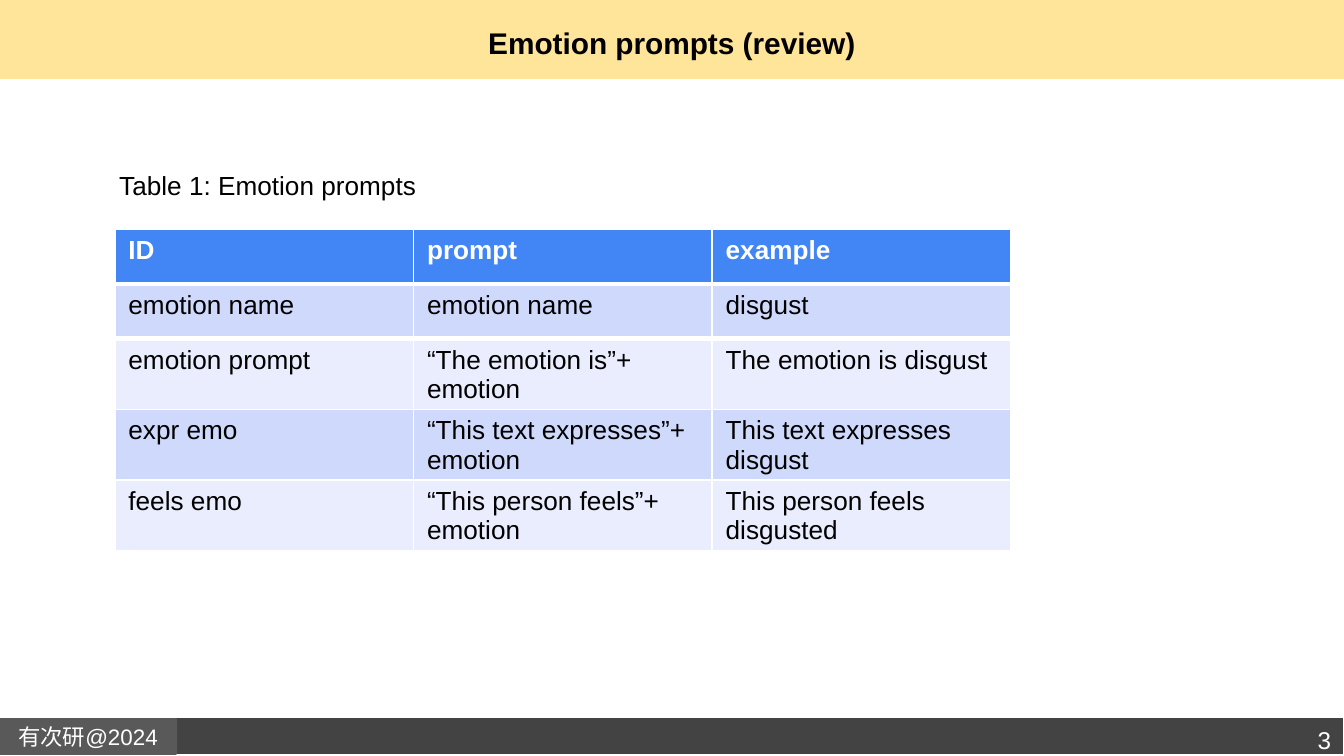
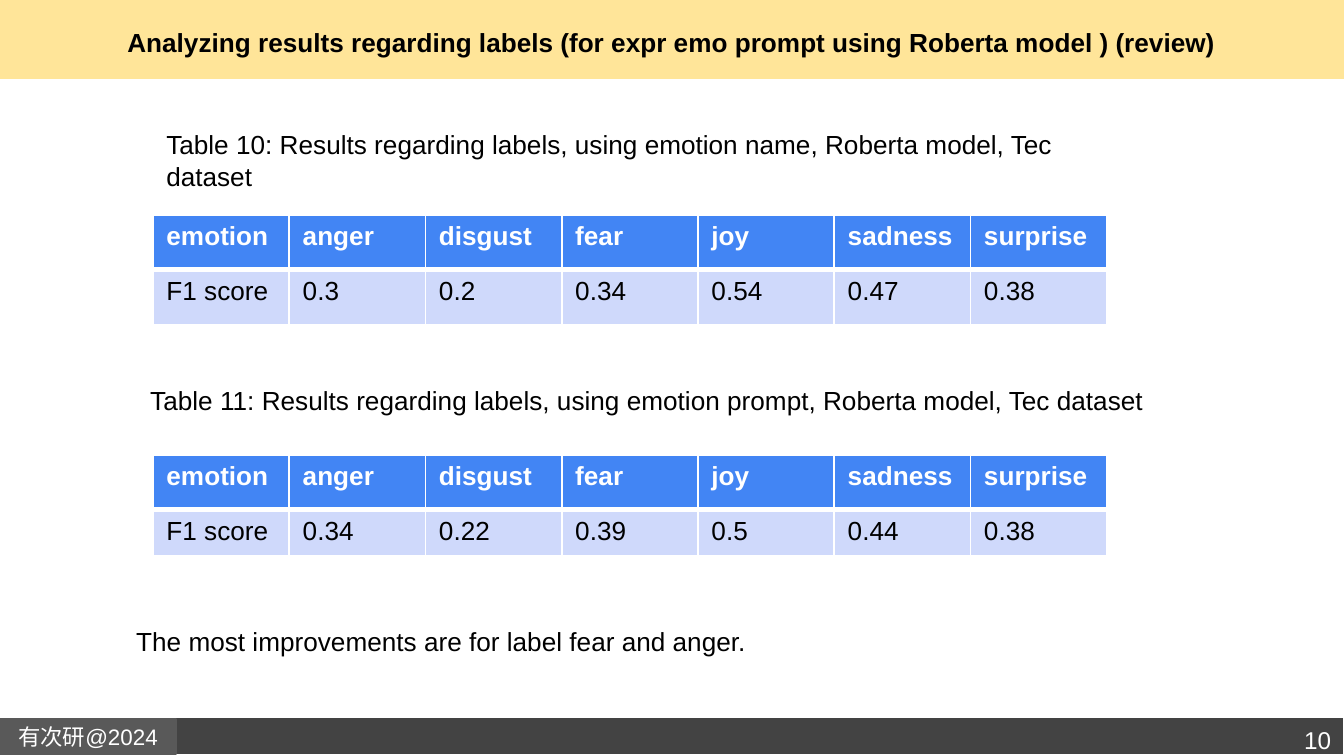
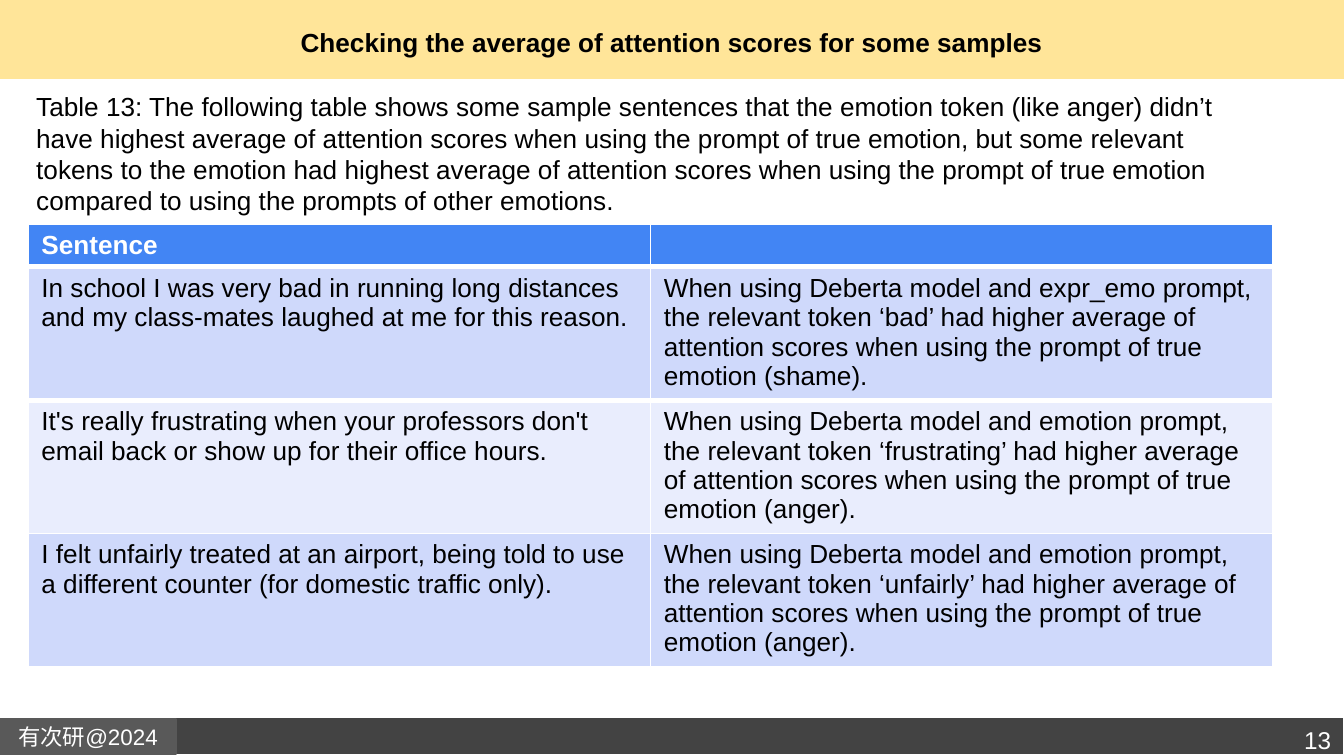
from lxml.etree import SubElement
from pptx import Presentation
from pptx.dml.color import RGBColor
from pptx.enum.shapes import MSO_SHAPE
from pptx.enum.text import MSO_ANCHOR, MSO_AUTO_SIZE, PP_ALIGN
from pptx.oxml.ns import qn
from pptx.util import Emu, Pt

BLACK = RGBColor(0x00, 0x00, 0x00)
WHITE = RGBColor(0xFF, 0xFF, 0xFF)
YELLOW = RGBColor(0xFF, 0xE5, 0x99)
DARK_GRAY = RGBColor(0x43, 0x43, 0x43)
GRAY = RGBColor(0x59, 0x59, 0x59)
HEADER_BLUE = RGBColor(0x42, 0x85, 0xF4)
ROW_TINTS = (RGBColor(0xCF, 0xD9, 0xFB), RGBColor(0xE9, 0xED, 0xFD))

FONT = "Arial"
PX_PER_INCH = 134.4
INSET = 13
BODY = {"name": FONT, "size": Pt(14), "bold": False}
BOLD = {**BODY, "bold": True}
LABEL = {**BODY, "size": Pt(12)}
NUMBER = {**BODY, "size": Pt(13)}

EMOTIONS = ["emotion", "anger", "disgust", "fear", "joy", "sadness", "surprise"]
PROMPTS = [
    ["ID", "prompt", "example"],
    ["emotion name", "emotion name", "disgust"],
    ["emotion prompt", "“The emotion is”+ emotion", "The emotion is disgust"],
    ["expr emo", "“This text expresses”+ emotion", "This text expresses disgust"],
    ["feels emo", "“This person feels”+ emotion", "This person feels disgusted"],
]
NAME_SCORES = [EMOTIONS, ["F1 score", "0.3", "0.2", "0.34", "0.54", "0.47", "0.38"]]
PROMPT_SCORES = [EMOTIONS, ["F1 score", "0.34", "0.22", "0.39", "0.5", "0.44", "0.38"]]
SAMPLES = [
    ["Sentence", ""],
    ["In school I was very bad in running long distances and my class-mates "
     "laughed at me for this reason.",
     "When using Deberta model and expr_emo prompt, the relevant token ‘bad’ had "
     "higher average of attention scores when using the prompt of true emotion (shame)."],
    ["It's really frustrating when your professors don't email back or show up "
     "for their office hours.",
     "When using Deberta model and emotion prompt, the relevant token ‘frustrating’ had "
     "higher average of attention scores when using the prompt of true emotion (anger)."],
    ["I felt unfairly treated at an airport, being told to use a different counter "
     "(for domestic traffic only).",
     "When using Deberta model and emotion prompt, the relevant token ‘unfairly’ had "
     "higher average of attention scores when using the prompt of true emotion (anger)."],
]
SAMPLES_CAPTION = (
    "Table 13: The following table shows some sample sentences that the emotion token "
    "(like anger) didn’t have highest average of attention scores when using the prompt "
    "of true emotion, but some relevant tokens to the emotion had highest average of "
    "attention scores when using the prompt of true emotion compared to using the "
    "prompts of other emotions."
)


def px(n):
    """Turn px into EMU."""
    return Emu(round(n * 914400 / PX_PER_INCH))


def set_all(target, values):
    """Set each attribute named in values on the target."""
    for name, value in values.items():
        setattr(target, name, value)


def write(tf, text, fmt, color, align=PP_ALIGN.LEFT):
    """Write one formatted paragraph into a text frame."""
    p = tf.paragraphs[0]
    p.alignment = align
    r = p.add_run()
    r.text = text
    set_all(r.font, fmt)
    r.font.color.rgb = color


def pad(tf, n=INSET):
    """Give a text frame equal insets on all sides."""
    sides = ("margin_left", "margin_right", "margin_top", "margin_bottom")
    set_all(tf, dict.fromkeys(sides, px(n)))


def add_band(s, box, fill, line=None):
    """Add a flat rectangle."""
    sp = s.shapes.add_shape(MSO_SHAPE.RECTANGLE, *map(px, box))
    sp.shadow.inherit = False
    sp.fill.solid()
    sp.fill.fore_color.rgb = fill
    if line is None:
        sp.line.fill.background()
    else:
        sp.line.color.rgb = line
        sp.line.width = Pt(0.75)
    return sp


def make_layout(prs):
    """Put the shared bands and footer label on the title layout."""
    layout = prs.slide_layouts[5]
    s = prs.slides.add_slide(layout)
    bands = [
        add_band(s, (0, 0, 1344, 79), YELLOW),
        add_band(s, (0, 717, 1344, 38), DARK_GRAY, WHITE),
        add_band(s, (0, 719, 176, 35), GRAY, GRAY),
    ]
    tf = bands[-1].text_frame
    pad(tf)
    set_all(tf, {"vertical_anchor": MSO_ANCHOR.MIDDLE, "word_wrap": True})
    write(tf, "有次研@2024", LABEL, WHITE, PP_ALIGN.CENTER)
    for sp in bands:
        layout.shapes.element.append(sp.element)
    return layout, s


def fill_frame(s, title, number, size=14):
    """Write the title and the slide number."""
    sp = s.shapes.title
    set_all(sp, {"left": px(46), "top": 0, "width": px(1252), "height": px(85)})
    tf = sp.text_frame
    pad(tf)
    set_all(tf, {"vertical_anchor": MSO_ANCHOR.MIDDLE, "word_wrap": True,
                 "auto_size": MSO_AUTO_SIZE.NONE})
    write(tf, title, {**BOLD, "size": Pt(size)}, BLACK, PP_ALIGN.CENTER)
    tf = s.shapes.add_textbox(*map(px, (1203, 712, 141, 50))).text_frame
    pad(tf)
    tf.word_wrap = True
    write(tf, str(number), NUMBER, WHITE, PP_ALIGN.RIGHT)


def add_caption(s, text, box, wrap=True):
    """Add a body text box that grows with its text."""
    tf = s.shapes.add_textbox(*map(px, box)).text_frame
    set_all(tf, {"word_wrap": wrap, "auto_size": MSO_AUTO_SIZE.SHAPE_TO_FIT_TEXT})
    write(tf, text, BODY, BLACK)


def rule_cell(cell, side):
    """Draw a thick white border on one side of an unfilled cell."""
    ln = SubElement(cell._tc.get_or_add_tcPr(), qn(f"a:{side}"), w=str(Pt(3)))
    SubElement(SubElement(ln, qn("a:solidFill")), qn("a:srgbClr"), val=str(WHITE))


def add_grid(s, rows, left, top, width, heights):
    """Add a table with a blue header and tinted rows of equal columns."""
    box = map(px, (left, top, width, sum(heights)))
    table = s.shapes.add_table(len(rows), len(rows[0]), *box).table
    for column in table.columns:
        column.width = px(width / len(rows[0]))
    for i, (texts, height) in enumerate(zip(rows, heights)):
        table.rows[i].height = px(height)
        fmt, color, tint = (BODY, BLACK, ROW_TINTS[(i - 1) % 2]) if i else (BOLD, WHITE, HEADER_BLUE)
        for cell, text in zip(table.rows[i].cells, texts):
            if i < 2:
                rule_cell(cell, ("lnB", "lnT")[i])
            cell.fill.solid()
            cell.fill.fore_color.rgb = tint
            cell.margin_bottom = px(1)
            if text:
                write(cell.text_frame, text, fmt, color)
            else:
                cell.text_frame.paragraphs[0]._p.get_or_add_endParaRPr().set("sz", "1400")


def main():
    """Build the three slides."""
    prs = Presentation()
    set_all(prs, {"slide_width": px(1344), "slide_height": px(756)})
    layout, s = make_layout(prs)

    fill_frame(s, "Emotion prompts (review)", 3, 16)
    add_grid(s, PROMPTS, 115, 229, 896, [55] * 5)
    add_caption(s, "Table 1: Emotion prompts", (106, 163, 484, 46))

    s = prs.slides.add_slide(layout)
    fill_frame(s, "Analyzing results regarding labels (for expr emo prompt using "
               "Roberta model ) (review)", 10)
    add_caption(s, "Table 10: Results regarding labels, using emotion name, Roberta model, "
                "Tec dataset", (153, 122, 993, 140))
    add_grid(s, NAME_SCORES, 153, 215, 954, [55, 55])
    add_caption(s, "Table 11: Results regarding labels, using emotion prompt, Roberta model, "
                "Tec dataset", (137, 378, 1025, 77), wrap=False)
    add_grid(s, PROMPT_SCORES, 153, 455, 954, [55, 46])
    add_caption(s, "The most improvements are for label fear and anger.",
                (123, 619, 641, 46), wrap=False)

    s = prs.slides.add_slide(layout)
    fill_frame(s, "Checking the average of attention scores for some samples", 13)
    add_grid(s, SAMPLES, 28, 224, 1245, [43] + [106] * 3)
    add_caption(s, SAMPLES_CAPTION, (23, 84, 1257, 140))

    prs.save("out.pptx")


if __name__ == "__main__":
    main()
